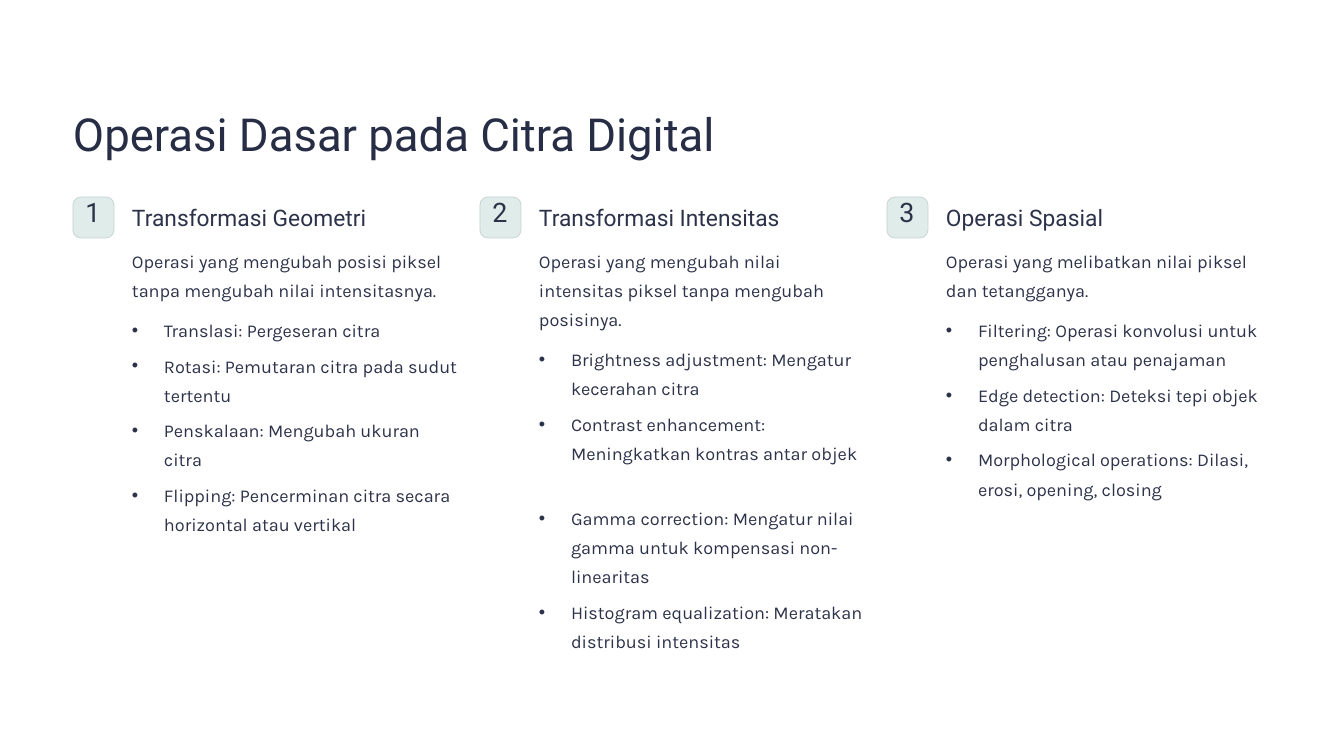
from lxml import etree
from pptx import Presentation
from pptx.dml.color import RGBColor
from pptx.enum.shapes import MSO_SHAPE
from pptx.enum.text import MSO_ANCHOR, MSO_AUTO_SIZE, PP_ALIGN
from pptx.oxml.ns import qn
from pptx.util import Pt

ROUNDED = MSO_SHAPE.ROUNDED_RECTANGLE
TOP = MSO_ANCHOR.TOP
NO_FIT = MSO_AUTO_SIZE.NONE
LEFT, CENTER = PP_ALIGN.LEFT, PP_ALIGN.CENTER

EMU_PER_PX = 914400 / 84
COMPARISON_LAYOUT = 4
BODY_IDS = (2, 4, 3)
COLORS = {
    "background": "FFFFFF",
    "title": "272D45",
    "text": "2C3249",
    "badge": "DFECE9",
    "badge_line": "C5D2CF",
}

COLUMN_X, COLUMN_PITCH, BADGE_Y, BADGE_SIZE, TEXT_OFFSET = 73, 407, 197, 41, 59
FIRST_GAP = 9
ITEM_GAP = 5.5
WIDE_GAP = 30.5  # one empty line more than ITEM_GAP

# heading, description, list of (item, space before in points)
COLUMNS = [
    ("Transformasi Geometri",
     "Operasi yang mengubah posisi piksel tanpa mengubah nilai intensitasnya.",
     [("Translasi: Pergeseran citra", FIRST_GAP),
      ("Rotasi: Pemutaran citra pada sudut tertentu", ITEM_GAP),
      ("Penskalaan: Mengubah ukuran citra", ITEM_GAP),
      ("Flipping: Pencerminan citra secara horizontal atau vertikal", ITEM_GAP)]),
    ("Transformasi Intensitas",
     "Operasi yang mengubah nilai intensitas piksel tanpa mengubah posisinya.",
     [("Brightness adjustment: Mengatur kecerahan citra", FIRST_GAP),
      ("Contrast enhancement: Meningkatkan kontras antar objek", ITEM_GAP),
      ("Gamma correction: Mengatur nilai gamma untuk kompensasi non-linearitas", WIDE_GAP),
      ("Histogram equalization: Meratakan distribusi intensitas", ITEM_GAP)]),
    ("Operasi Spasial",
     "Operasi yang melibatkan nilai piksel dan tetangganya.",
     [("Filtering: Operasi konvolusi untuk penghalusan atau penajaman", FIRST_GAP),
      ("Edge detection: Deteksi tepi objek dalam citra", ITEM_GAP),
      ("Morphological operations: Dilasi, erosi, opening, closing", ITEM_GAP)]),
]


def px(n):
    return round(n * EMU_PER_PX)


def color(name):
    return RGBColor.from_string(COLORS[name])


def write(p, text, size, line, font="Roboto", fill="text", align=LEFT, before=0, bullet=False):
    """Fill paragraph p with text; line and before are in points."""
    pPr = p._p.get_or_add_pPr()
    indent = px(32) if bullet else 0
    pPr.set("marL", str(indent))
    pPr.set("indent", str(-indent))
    if bullet:
        etree.SubElement(pPr, qn("a:buChar")).set("char", "•")
    else:
        etree.SubElement(pPr, qn("a:buNone"))
    p.alignment = align
    p.line_spacing = Pt(line)
    p.space_before, p.space_after = Pt(before), Pt(0)
    r = p.add_run()
    r.text = text
    r.font.name, r.font.size, r.font.bold = font, Pt(size), False
    r.font.color.rgb = color(fill)


class Deck:
    def __init__(self):
        self.prs = Presentation()
        self.prs.slide_width, self.prs.slide_height = px(1344), px(756)
        layout = self.prs.slide_layouts[COMPARISON_LAYOUT]
        self.slide = self.prs.slides.add_slide(layout)
        fill = self.slide.background.fill
        fill.solid()
        fill.fore_color.rgb = color("background")

    def frame(self, sp, x, y, w, h, wrap=False):
        """Place sp and return its text frame without margins."""
        sp.left, sp.top, sp.width, sp.height = map(px, (x, y, w, h))
        tf = sp.text_frame
        tf.margin_left = tf.margin_top = tf.margin_right = tf.margin_bottom = 0
        tf.vertical_anchor, tf.auto_size, tf.word_wrap = TOP, NO_FIT, wrap
        return tf

    def title(self, text, *box):
        tf = self.frame(self.slide.shapes.title, *box)
        write(tf.paragraphs[0], text, 39, 48.5, fill="title")

    def label(self, text, *box, **style):
        sp = self.slide.shapes.add_textbox(0, 0, 0, 0)
        write(self.frame(sp, *box).paragraphs[0], text, **style)

    def badge(self, number, x, y):
        sp = self.slide.shapes.add_shape(ROUNDED, px(x), px(y), px(BADGE_SIZE), px(BADGE_SIZE))
        sp.adjustments[0] = 0.19
        sp.shadow.inherit = False
        sp.fill.solid()
        sp.fill.fore_color.rgb = color("badge")
        sp.line.color.rgb = color("badge_line")
        sp.line.width = Pt(0.6)
        self.label(str(number), x + 6, y + 4, 28, 34, size=23, line=23, align=CENTER)

    def body(self, idx, intro, items, *box):
        tf = self.frame(self.slide.placeholders[idx], *box, wrap=True)
        style = {"size": 15.5, "line": 25, "font": "Karla"}
        write(tf.paragraphs[0], intro, **style)
        for text, gap in items:
            write(tf.add_paragraph(), text, before=gap, bullet=True, **style)

    def remove_empty_placeholders(self):
        for sp in list(self.slide.placeholders):
            if not sp.text_frame.text:
                sp._element.getparent().remove(sp._element)


def main():
    deck = Deck()
    deck.title("Operasi Dasar pada Citra Digital", 73, 104, 680, 57)
    for i, (heading, intro, items) in enumerate(COLUMNS):
        x = COLUMN_X + i * COLUMN_PITCH
        text_x = x + TEXT_OFFSET
        deck.badge(i + 1, x, BADGE_Y)
        deck.label(heading, text_x, BADGE_Y + 6, 230, 29, size=19.5, line=24)
        deck.body(BODY_IDS[i], intro, items, text_x, BADGE_Y + 46, 327, 409)
    deck.remove_empty_placeholders()
    deck.prs.save("out.pptx")


if __name__ == "__main__":
    main()
